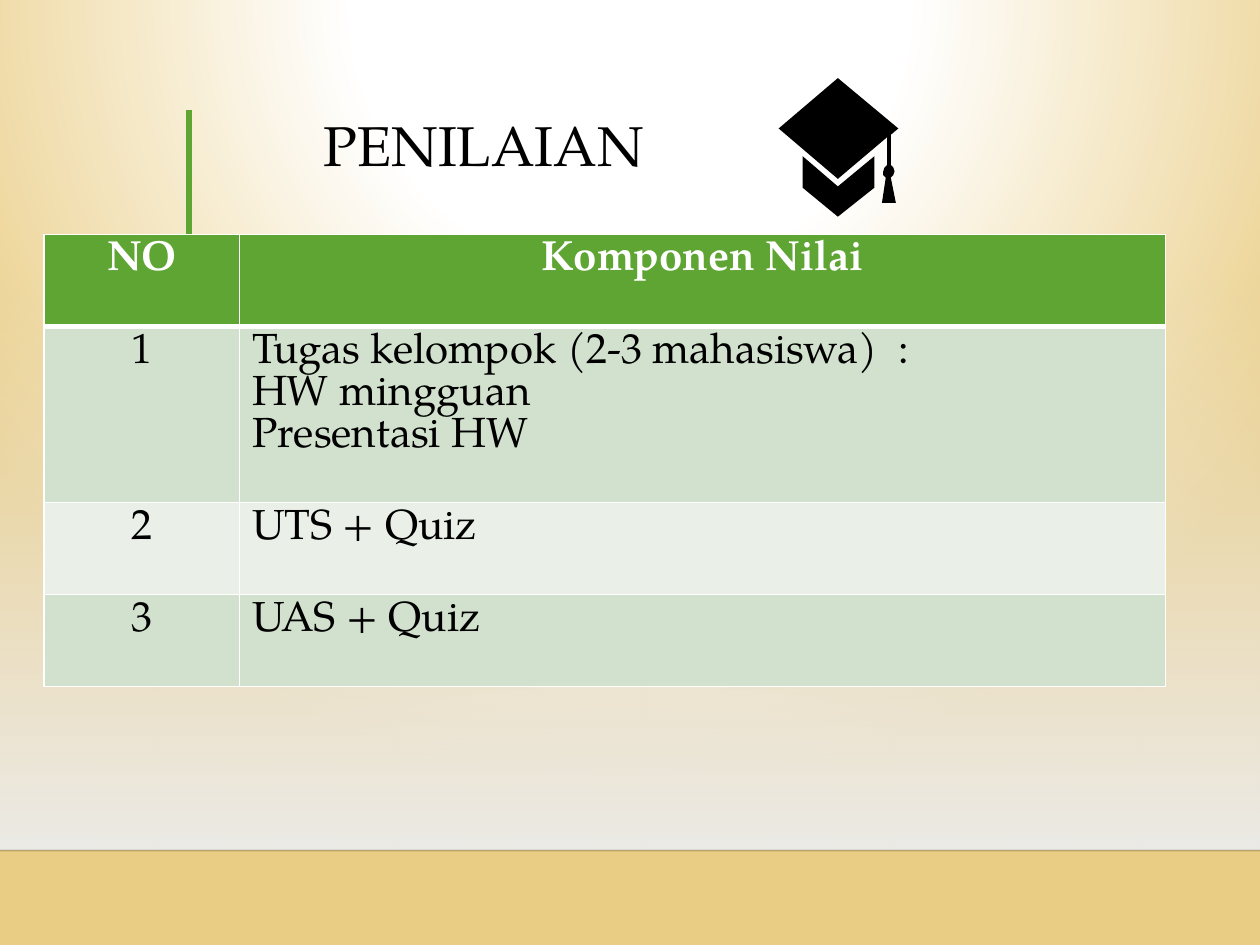
import pptx
import pptx.util
import pptx.dml.color
import pptx.enum.shapes
import pptx.enum.text
import pptx.oxml
import pptx.oxml.ns

Inches, Pt = pptx.util.Inches, pptx.util.Pt
ALIGN = pptx.enum.text.PP_ALIGN
qn = pptx.oxml.ns.qn

FONT = "TeX Gyre Pagella"
GREEN, WHITE, BLACK = "5FA534", "FFFFFF", "000000"
BANDS = ["D2E1CE", "EAF0E8"]

TITLE = "PENILAIAN "
ROWS = [
    ("NO", ["Komponen Nilai"]),
    ("1", ["Tugas kelompok (2-3 mahasiswa)  :", "HW mingguan", "Presentasi HW"]),
    ("2", ["UTS + Quiz"]),
    ("3", ["UAS + Quiz"]),
]
COLUMN_WIDTHS = [1.55, 7.35]
ROW_HEIGHTS = [0.73, 1.4, 0.73, 0.73]

# Outlines of the graduation cap, in hundredths of an inch
CAP_BASE = [(637, 124), (665, 148), (694, 124), (694, 149), (665, 172), (637, 149)]
CAP_BOARD = [
    (665, 62), (713, 102), (707, 107), (707, 131), (709, 133), (710, 136),
    (709, 139), (707, 141), (711, 161), (700, 161), (703, 141), (701, 139),
    (701, 136), (702, 133), (704, 131), (704, 109), (665, 142), (618, 102),
]


def colour(value):
    return pptx.dml.color.RGBColor.from_string(value)


def xml(tag, inner="", **attributes):
    element = pptx.oxml.parse_xml(f"<{tag} {pptx.oxml.ns.nsdecls('a')}>{inner}</{tag}>")
    for name, value in attributes.items():
        element.set(name, str(value))
    return element


def gradient(stops, direction):
    """Gradient fill from (position %, colour, opacity %) stops."""
    marks = "".join(
        f'<a:gs pos="{at * 1000}"><a:srgbClr val="{value}"><a:alpha val="{alpha * 1000}"/></a:srgbClr></a:gs>'
        for at, value, alpha in stops)
    return xml("a:gradFill", f"<a:gsLst>{marks}</a:gsLst>{direction}")


def paint_background(page):
    page.background.fill.solid()
    properties = page.background._cSld.bg.bgPr
    glow = gradient(
        [(0, WHITE, 100), (35, WHITE, 100), (100, "EACD85", 100)],
        '<a:path path="circle"><a:fillToRect l="50000" t="-80000" r="50000" b="180000"/></a:path>')
    properties.replace(properties.find(qn("a:solidFill")), glow)


def add_haze(page):
    haze = page.shapes.add_shape(
        pptx.enum.shapes.MSO_SHAPE.RECTANGLE, 0, Inches(2.2), Inches(10), Inches(4.54))
    haze.shadow.inherit = False
    haze.line.fill.background()
    haze.fill.solid()
    properties = haze._element.spPr
    fade = gradient([(0, "EDEBE7", 0), (100, "EDEBE7", 100)], '<a:lin ang="5400000" scaled="0"/>')
    properties.replace(properties.find(qn("a:solidFill")), fade)


def add_line(page, start, end, value, width, opacity=100):
    line = page.shapes.add_connector(
        pptx.enum.shapes.MSO_CONNECTOR.STRAIGHT, *map(Inches, start + end))
    line.line.color.rgb = colour(value)
    line.line.width = Pt(width)
    properties = line._element.spPr
    properties.find(".//" + qn("a:srgbClr")).append(xml("a:alpha", val=opacity * 1000))
    properties.append(xml("a:effectLst"))


def write(frame, lines, align, spacing, ink, size, bold=False):
    formats = {"name": FONT, "size": Pt(size), "bold": bold}
    for number, words in enumerate(lines):
        para = frame.add_paragraph() if number else frame.paragraphs[0]
        para.alignment, para.line_spacing = align, spacing
        span = para.add_run()
        span.text = words
        span.font.color.rgb = colour(ink)
        for name, value in formats.items():
            setattr(span.font, name, value)


def add_title(page):
    box = page.shapes.add_textbox(Inches(0.35), Inches(0.6), Inches(7.09), Inches(1.15))
    box.text_frame.word_wrap = True
    box.text_frame.vertical_anchor = pptx.enum.text.MSO_ANCHOR.MIDDLE
    write(box.text_frame, [TITLE], ALIGN.CENTER, 0.9, BLACK, 32)


def set_borders(cell, widths):
    properties = cell._tc.get_or_add_tcPr()
    for position, (side, width) in enumerate(widths.items()):
        fill = f'<a:solidFill><a:srgbClr val="{WHITE}"/></a:solidFill>'
        properties.insert(position, xml(f"a:{side}", fill, w=Pt(width)))


def add_grades(page):
    table = page.shapes.add_table(
        len(ROWS), len(COLUMN_WIDTHS), Inches(0.35), Inches(1.86),
        Inches(sum(COLUMN_WIDTHS)), Inches(sum(ROW_HEIGHTS))).table
    for column, width in zip(table.columns, COLUMN_WIDTHS):
        column.width = Inches(width)
    for index, (number, component) in enumerate(ROWS):
        header = index == 0
        table.rows[index].height = Inches(ROW_HEIGHTS[index])
        for place, lines in enumerate([[number], component]):
            cell = table.cell(index, place)
            cell.fill.solid()
            cell.fill.fore_color.rgb = colour(GREEN if header else BANDS[(index - 1) % 2])
            set_borders(cell, {"lnL": 1, "lnR": 1, "lnT": 3 if index == 1 else 1,
                               "lnB": 3 if header else 1})
            align = ALIGN.CENTER if header or place == 0 else ALIGN.LEFT
            write(cell.text_frame, lines, align, 1.0, WHITE if header else BLACK, 24, header)


def add_graduation_cap(page):
    builder = page.shapes.build_freeform(*CAP_BASE[0], scale=Inches(0.01))
    builder.add_line_segments(CAP_BASE[1:], close=True)
    builder.move_to(*CAP_BOARD[0])
    builder.add_line_segments(CAP_BOARD[1:], close=True)
    cap = builder.convert_to_shape()
    cap.shadow.inherit = False
    cap.fill.solid()
    cap.fill.fore_color.rgb = colour(BLACK)
    cap.line.fill.background()


def main():
    deck = pptx.Presentation()
    deck.slide_width, deck.slide_height = Inches(10), Inches(7.5)
    page = deck.slides.add_slide(deck.slide_layouts[6])
    paint_background(page)
    add_haze(page)
    add_line(page, (0, 6.75), (10, 6.75), "000001", 1, opacity=20)
    add_line(page, (1.5, 0.87), (1.5, 2.04), GREEN, 3)
    add_title(page)
    add_grades(page)
    add_graduation_cap(page)
    deck.save("out.pptx")


if __name__ == "__main__":
    main()
